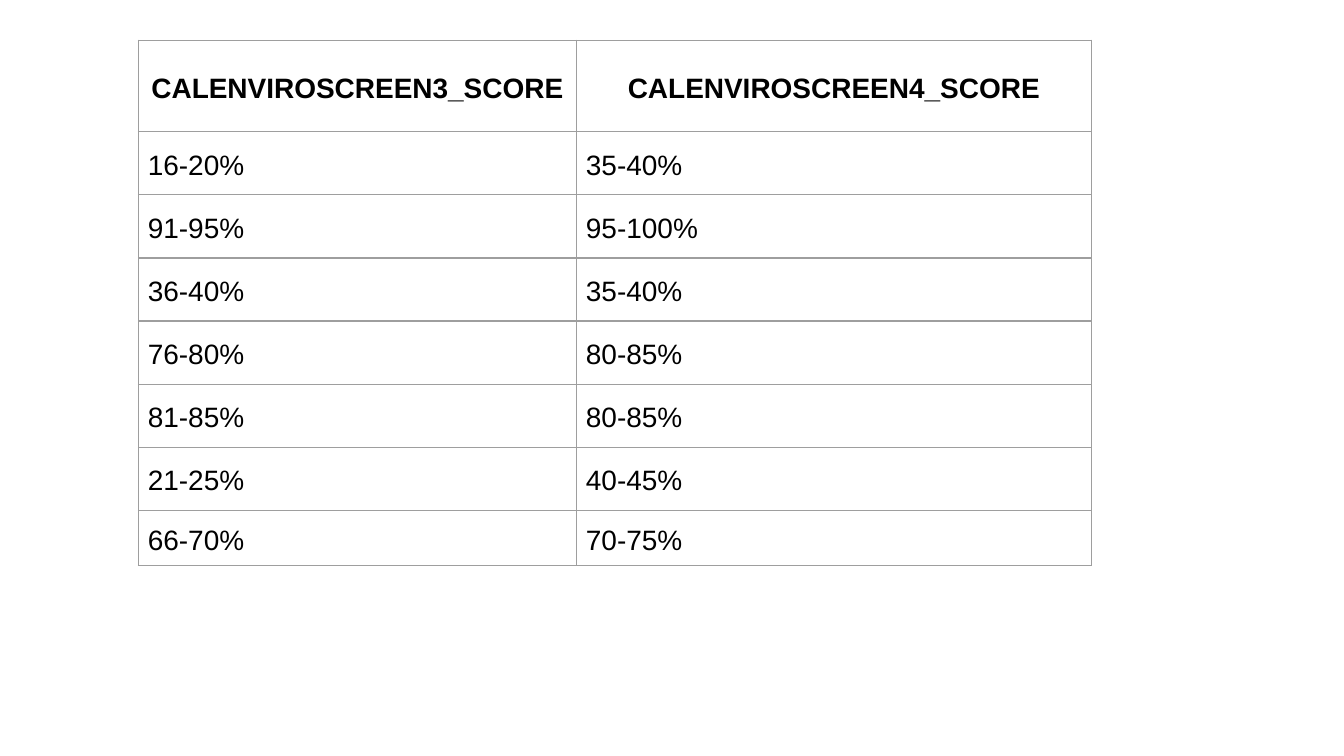
from lxml import etree
from pptx import Presentation
from pptx.dml.color import RGBColor
from pptx.enum.text import MSO_ANCHOR, PP_ALIGN
from pptx.oxml.ns import qn
from pptx.util import Inches, Pt

MIDDLE = MSO_ANCHOR.MIDDLE
CENTER, LEFT = PP_ALIGN.CENTER, PP_ALIGN.LEFT
COLORS = {"text": "000000", "border": "9E9E9E"}
FONT = "Arial"
BLANK_LAYOUT = 6
SLIDE_WIDTH = 10
SLIDE_HEIGHT = SLIDE_WIDTH * 9 / 16
COLUMN_WIDTHS = [3.26, 3.83]
HEADER_HEIGHT, ROW_HEIGHT, LAST_ROW_HEIGHT = 0.68, 0.47, 0.41
CELL_MARGIN = 0.07
SCORES = [
    ("CALENVIROSCREEN3_SCORE", "CALENVIROSCREEN4_SCORE"),
    ("16-20%", "35-40%"),
    ("91-95%", "95-100%"),
    ("36-40%", "35-40%"),
    ("76-80%", "80-85%"),
    ("81-85%", "80-85%"),
    ("21-25%", "40-45%"),
    ("66-70%", "70-75%"),
]


def set_borders(cell):
    """Draw a thin grey line on all four sides of a cell."""
    properties = cell._tc.get_or_add_tcPr()
    for position, side in enumerate(("a:lnL", "a:lnR", "a:lnT", "a:lnB")):
        line = etree.Element(qn(side), w=str(Pt(0.75)))
        fill = etree.SubElement(line, qn("a:solidFill"))
        etree.SubElement(fill, qn("a:srgbClr"), val=COLORS["border"])
        properties.insert(position, line)


def format_cell(cell, text, is_header):
    """Write and style the text of one cell."""
    cell.text = text
    cell.vertical_anchor = MIDDLE
    cell.margin_left = cell.margin_right = Inches(CELL_MARGIN)
    cell.margin_top = cell.margin_bottom = Inches(CELL_MARGIN)
    cell.fill.background()
    set_borders(cell)
    paragraph = cell.text_frame.paragraphs[0]
    paragraph.alignment = CENTER if is_header else LEFT
    paragraph.line_spacing = 1.15
    paragraph.space_after = Pt(10)
    paragraph.font.name = FONT
    paragraph.font.size = Pt(15)
    paragraph.font.bold = is_header
    paragraph.font.color.rgb = RGBColor.from_string(COLORS["text"])


def add_score_table(slide, left, top):
    """Place the score comparison table with its top left corner as given."""
    body_count = len(SCORES) - 2
    heights = [HEADER_HEIGHT] + [ROW_HEIGHT] * body_count + [LAST_ROW_HEIGHT]
    table = slide.shapes.add_table(
        len(SCORES), len(COLUMN_WIDTHS), Inches(left), Inches(top),
        Inches(sum(COLUMN_WIDTHS)), Inches(sum(heights))).table
    table.horz_banding = False
    table.first_row = False
    for column, width in zip(table.columns, COLUMN_WIDTHS):
        column.width = Inches(width)
    for index, (row, height, texts) in enumerate(zip(table.rows, heights, SCORES)):
        row.height = Inches(height)
        for cell, text in zip(row.cells, texts):
            format_cell(cell, text, is_header=index == 0)


def main():
    """Build the presentation and save it."""
    presentation = Presentation()
    presentation.slide_width = Inches(SLIDE_WIDTH)
    presentation.slide_height = Inches(SLIDE_HEIGHT)
    slide = presentation.slides.add_slide(presentation.slide_layouts[BLANK_LAYOUT])
    add_score_table(slide, 1.03, 0.3)
    presentation.save("out.pptx")


if __name__ == "__main__":
    main()
